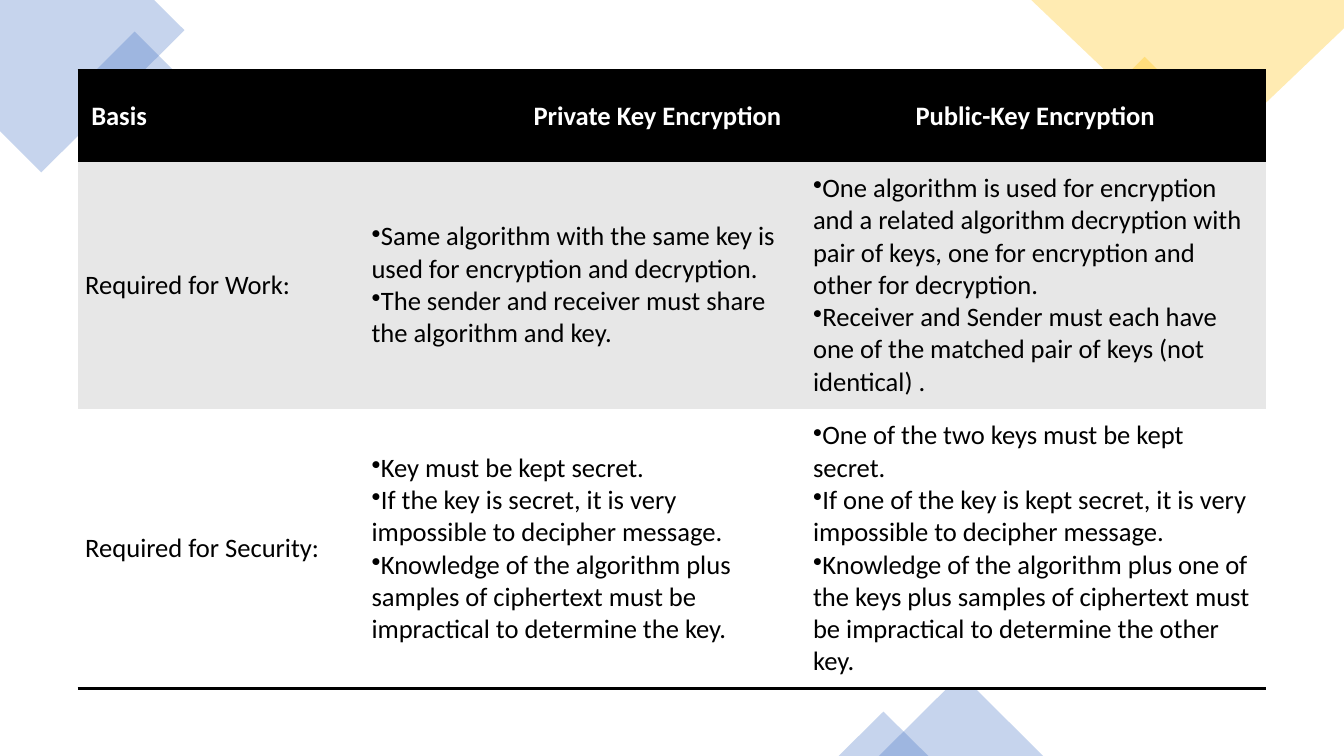
"""Builds a slide comparing private key and public-key encryption."""
from dataclasses import dataclass

from lxml import etree
from pptx import Presentation
from pptx.dml.color import RGBColor
from pptx.enum.shapes import MSO_SHAPE
from pptx.enum.text import MSO_ANCHOR
from pptx.oxml.ns import qn
from pptx.shapes.autoshape import Shape
from pptx.slide import Slide
from pptx.table import _Cell
from pptx.util import Pt

SQUARE = MSO_SHAPE.RECTANGLE
TRIANGLE = MSO_SHAPE.ISOSCELES_TRIANGLE
MIDDLE = MSO_ANCHOR.MIDDLE

BLUE = RGBColor(0x44, 0x72, 0xC4)
GOLD = RGBColor(0xFF, 0xC0, 0x00)
BLACK = RGBColor(0x00, 0x00, 0x00)
WHITE = RGBColor(0xFF, 0xFF, 0xFF)
GREY = RGBColor(0xE7, 0xE7, 0xE7)

FONT = "Calibri"
FONT_SIZE = 19
RULE_WIDTH = 2
OPACITY = "30000"
BULLET = "•"


@dataclass(frozen=True)
class Ornament:
    kind: MSO_SHAPE
    left: float
    top: float
    width: float
    height: float
    color: RGBColor
    rotation: float = 0


@dataclass(frozen=True)
class Corner:
    points: tuple[tuple[float, float], ...]
    color: RGBColor


@dataclass(frozen=True)
class Entry:
    lines: tuple[str, ...]
    bulleted: bool = False
    indent: float = 0


@dataclass(frozen=True)
class Row:
    height: float
    fill: RGBColor
    ink: RGBColor
    entries: tuple[Entry, ...]
    bold: bool = False
    rules: tuple[str, ...] = ()


CORNERS = (
    Corner(((0, 0), (110.2, 0), (131.8, 21.6), (29.5, 123.1), (0, 93.6)), BLUE),
    Corner(((960, 0), (736.6, 0), (859, 116.6), (960, 20.2)), GOLD),
)
ORNAMENTS = (
    Ornament(SQUARE, 70.6, 33.1, 51.1, 51.1, BLUE, 45),
    Ornament(SQUARE, 790.6, 51.8, 54, 54, GOLD, 45),
    Ornament(TRIANGLE, 627.8, 481.7, 117.4, 58.3, BLUE),
    Ornament(TRIANGLE, 599, 508.3, 64.1, 31.7, BLUE),
)
COLUMN_WIDTHS = (204.5, 315.4, 329)
ROWS = (
    Row(65, BLACK, WHITE, (
        Entry(("Basis",), indent=4.3),
        Entry(("Private Key Encryption",), indent=115.7),
        Entry(("Public-Key Encryption",), indent=73.2),
    ), bold=True, rules=("a:lnT",)),
    Row(176, GREY, BLACK, (
        Entry(("Required for Work:",)),
        Entry((
            "Same algorithm with the same key is used for encryption and decryption.",
            "The sender and receiver must share the algorithm and key.",
        ), bulleted=True),
        Entry((
            "One algorithm is used for encryption and a related algorithm decryption "
            "with pair of keys, one for encryption and other for decryption.",
            "Receiver and Sender must each have one of the matched pair of keys "
            "(not identical) .",
        ), bulleted=True),
    )),
    Row(198, WHITE, BLACK, (
        Entry(("Required for Security:",)),
        Entry((
            "Key must be kept secret.",
            "If the key is secret, it is very impossible to decipher message.",
            "Knowledge of the algorithm plus samples of ciphertext must be "
            "impractical to determine the key.",
        ), bulleted=True),
        Entry((
            "One of the two keys must be kept secret.",
            "If one of the key is kept secret, it is very impossible to decipher message.",
            "Knowledge of the algorithm plus one of the keys plus samples of "
            "ciphertext must be impractical to determine the other key.",
        ), bulleted=True),
    ), rules=("a:lnB",)),
)


def tint(shape: Shape, color: RGBColor) -> None:
    shape.shadow.inherit = False
    shape.line.fill.background()
    shape.fill.solid()
    shape.fill.fore_color.rgb = color
    swatch = shape.element.spPr.find(qn("a:solidFill")).find(qn("a:srgbClr"))
    etree.SubElement(swatch, qn("a:alpha"), val=OPACITY)


def draw_corner(page: Slide, corner: Corner) -> None:
    points = [(Pt(x), Pt(y)) for x, y in corner.points]
    builder = page.shapes.build_freeform(*points[0])
    builder.add_line_segments(points[1:], close=True)
    tint(builder.convert_to_shape(), corner.color)


def draw_ornament(page: Slide, ornament: Ornament) -> None:
    shape = page.shapes.add_shape(
        ornament.kind, Pt(ornament.left), Pt(ornament.top),
        Pt(ornament.width), Pt(ornament.height))
    shape.rotation = ornament.rotation
    tint(shape, ornament.color)


def set_borders(properties: etree._Element, rules: tuple[str, ...]) -> None:
    for side in ("a:lnL", "a:lnR", "a:lnT", "a:lnB"):
        border = etree.SubElement(properties, qn(side))
        if side in rules:
            border.set("w", str(Pt(RULE_WIDTH)))
            paint = etree.SubElement(border, qn("a:solidFill"))
            etree.SubElement(paint, qn("a:srgbClr"), val=str(BLACK))
        else:
            etree.SubElement(border, qn("a:noFill"))


def write_entry(cell: _Cell, entry: Entry, row: Row) -> None:
    frame = cell.text_frame
    for number, line in enumerate(entry.lines):
        para = frame.add_paragraph() if number else frame.paragraphs[0]
        settings = para._p.get_or_add_pPr()
        settings.set("marL", str(Pt(entry.indent)))
        settings.set("indent", "0")
        if entry.bulleted:
            etree.SubElement(settings, qn("a:buChar"), char=BULLET)
        span = para.add_run()
        span.text = line
        span.font.name = FONT
        span.font.size = Pt(FONT_SIZE)
        span.font.bold = row.bold
        span.font.color.rgb = row.ink


def fill_cell(cell: _Cell, entry: Entry, row: Row) -> None:
    cell.vertical_anchor = MIDDLE
    cell.margin_left = cell.margin_right = Pt(5.5)
    cell.margin_top = cell.margin_bottom = Pt(7.7)
    set_borders(cell._tc.tcPr, row.rules)
    cell.fill.solid()
    cell.fill.fore_color.rgb = row.fill
    write_entry(cell, entry, row)


def draw_table(page: Slide) -> None:
    table = page.shapes.add_table(
        len(ROWS), len(COLUMN_WIDTHS), Pt(55.4), Pt(50.4),
        Pt(sum(COLUMN_WIDTHS)), Pt(sum(row.height for row in ROWS))).table
    table.horz_banding = False
    for column, width in zip(table.columns, COLUMN_WIDTHS):
        column.width = Pt(width)
    for line, row in zip(table.rows, ROWS):
        line.height = Pt(row.height)
        for cell, entry in zip(line.cells, row.entries):
            fill_cell(cell, entry, row)


def main() -> None:
    deck = Presentation()
    deck.slide_width, deck.slide_height = Pt(960), Pt(540)
    page = deck.slides.add_slide(deck.slide_layouts[6])
    for corner in CORNERS:
        draw_corner(page, corner)
    for ornament in ORNAMENTS:
        draw_ornament(page, ornament)
    draw_table(page)
    deck.save("out.pptx")


if __name__ == "__main__":
    main()
